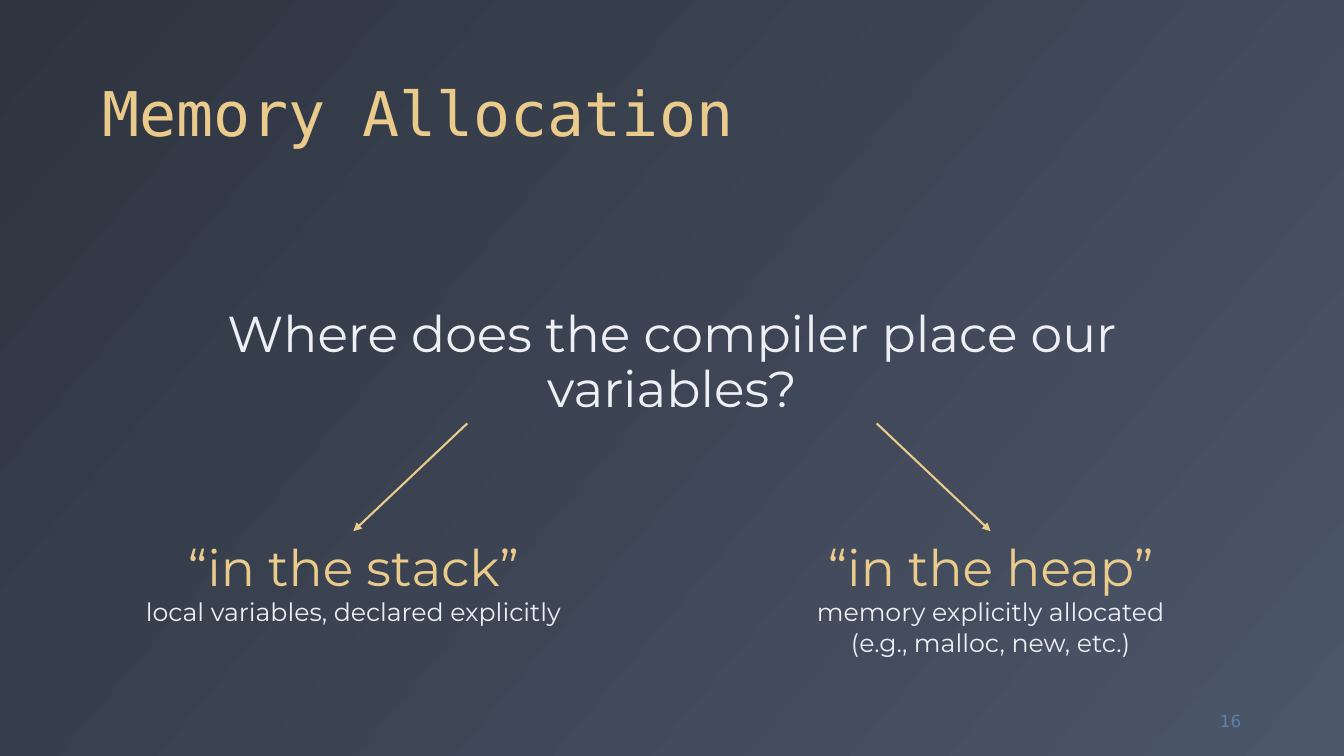
from dataclasses import dataclass

from lxml import etree
from pptx import Presentation
from pptx.dml.color import RGBColor
from pptx.enum.shapes import MSO_CONNECTOR
from pptx.enum.text import MSO_ANCHOR, PP_ALIGN
from pptx.oxml.ns import qn
from pptx.util import Inches, Pt

STRAIGHT = MSO_CONNECTOR.STRAIGHT
TOP, MIDDLE, BOTTOM = MSO_ANCHOR.TOP, MSO_ANCHOR.MIDDLE, MSO_ANCHOR.BOTTOM
LEFT, CENTER, RIGHT = PP_ALIGN.LEFT, PP_ALIGN.CENTER, PP_ALIGN.RIGHT

WIDTH, HEIGHT = 13.33, 7.5
MIDLINE = WIDTH / 2
MARGIN = 0.92
CONTENT = WIDTH - 2 * MARGIN
ARROW_TOP, BRANCH_TOP = 4.2, 5.27
ARROW_REACH, BRANCH_REACH = 2.03, 3.16  # distances from the midline


@dataclass(frozen=True)
class Style:
    """Font, size and colour of a paragraph."""
    font: str
    size: int
    color: str


@dataclass(frozen=True)
class Theme:
    """Colours and type styles of the slide."""
    dark: str = "2E3440"
    light: str = "4C5669"
    accent: str = "EBCB8B"
    title: Style = Style("DejaVu Sans Mono", 44, "EBCB8B")
    question: Style = Style("Montserrat", 36, "ECEFF3")
    answer: Style = Style("Montserrat", 36, "EBCB8B")
    detail: Style = Style("Montserrat", 18, "ECEFF3")
    number: Style = Style("DejaVu Sans", 12, "5E81AC")


@dataclass(frozen=True)
class Area:
    """A rectangle in inches."""
    left: float
    top: float
    width: float
    height: float


@dataclass(frozen=True)
class Branch:
    """One answer, placed on a side of the midline (-1 left, 1 right)."""
    side: int
    width: float
    height: float
    answer: str
    details: tuple[str, ...]


THEME = Theme()
BRANCHES = (
    Branch(-1, 4.38, 1.01, "“in the stack”",
           ("local variables, declared explicitly",)),
    Branch(1, 3.69, 1.31, "“in the heap”",
           ("memory explicitly allocated", "(e.g., malloc, new, etc.)")),
)


def add_text(page, area: Area, lines: list[tuple[str, Style]], align=LEFT,
             anchor=TOP, spacing: float = 1.0, wrap: bool = True) -> None:
    """Add a text box with one styled paragraph per line."""
    box = page.shapes.add_textbox(Inches(area.left), Inches(area.top),
                                  Inches(area.width), Inches(area.height))
    frame = box.text_frame
    frame.word_wrap = wrap
    frame.vertical_anchor = anchor
    for index, (text, style) in enumerate(lines):
        para = frame.add_paragraph() if index else frame.paragraphs[0]
        para.text = text
        para.alignment = align
        para.line_spacing = spacing
        para.font.name = style.font
        para.font.size = Pt(style.size)
        para.font.color.rgb = RGBColor.from_string(style.color)


def add_arrow(page, start: tuple[float, float], end: tuple[float, float]) -> None:
    """Add a thin accent line with a triangle at its end."""
    arrow = page.shapes.add_connector(STRAIGHT, *map(Inches, start + end))
    arrow.line.color.rgb = RGBColor.from_string(THEME.accent)
    arrow.line.width = Pt(1.5)
    etree.SubElement(arrow.line._get_or_add_ln(), qn("a:tailEnd"), type="triangle")
    etree.SubElement(arrow._element.spPr, qn("a:effectLst"))


def add_branch(page, branch: Branch) -> None:
    """Add an answer with its details and the arrow leading to it."""
    center = MIDLINE + branch.side * BRANCH_REACH
    lines = [(branch.answer, THEME.answer)]
    lines += [(detail, THEME.detail) for detail in branch.details]
    area = Area(center - branch.width / 2, BRANCH_TOP, branch.width, branch.height)
    add_text(page, area, lines, CENTER, wrap=False)
    add_arrow(page, (MIDLINE + branch.side * ARROW_REACH, ARROW_TOP),
              (center, BRANCH_TOP))


def paint_background(page) -> None:
    """Fill the page with a diagonal gradient, dark at the top left."""
    fill = page.background.fill
    fill.gradient()
    fill.gradient_angle = 320
    for stop, color in zip(fill.gradient_stops, (THEME.dark, THEME.light)):
        stop.color.rgb = RGBColor.from_string(color)


def main() -> None:
    """Build and save the slide."""
    deck = Presentation()
    deck.slide_width, deck.slide_height = Inches(WIDTH), Inches(HEIGHT)
    page = deck.slides.add_slide(deck.slide_layouts[6])
    paint_background(page)
    add_text(page, Area(MARGIN, 0.18, CONTENT, 1.36),
             [("Memory Allocation", THEME.title)], anchor=BOTTOM, spacing=0.9)
    add_text(page, Area(WIDTH - MARGIN - 0.83, 6.95, 0.83, 0.4),
             [("16", THEME.number)], RIGHT, MIDDLE)
    add_text(page, Area(MARGIN, 2.2, CONTENT, 2.82),
             [("Where does the compiler place our variables?", THEME.question)],
             CENTER, MIDDLE, 0.9)
    for branch in BRANCHES:
        add_branch(page, branch)
    deck.save("out.pptx")


main()
